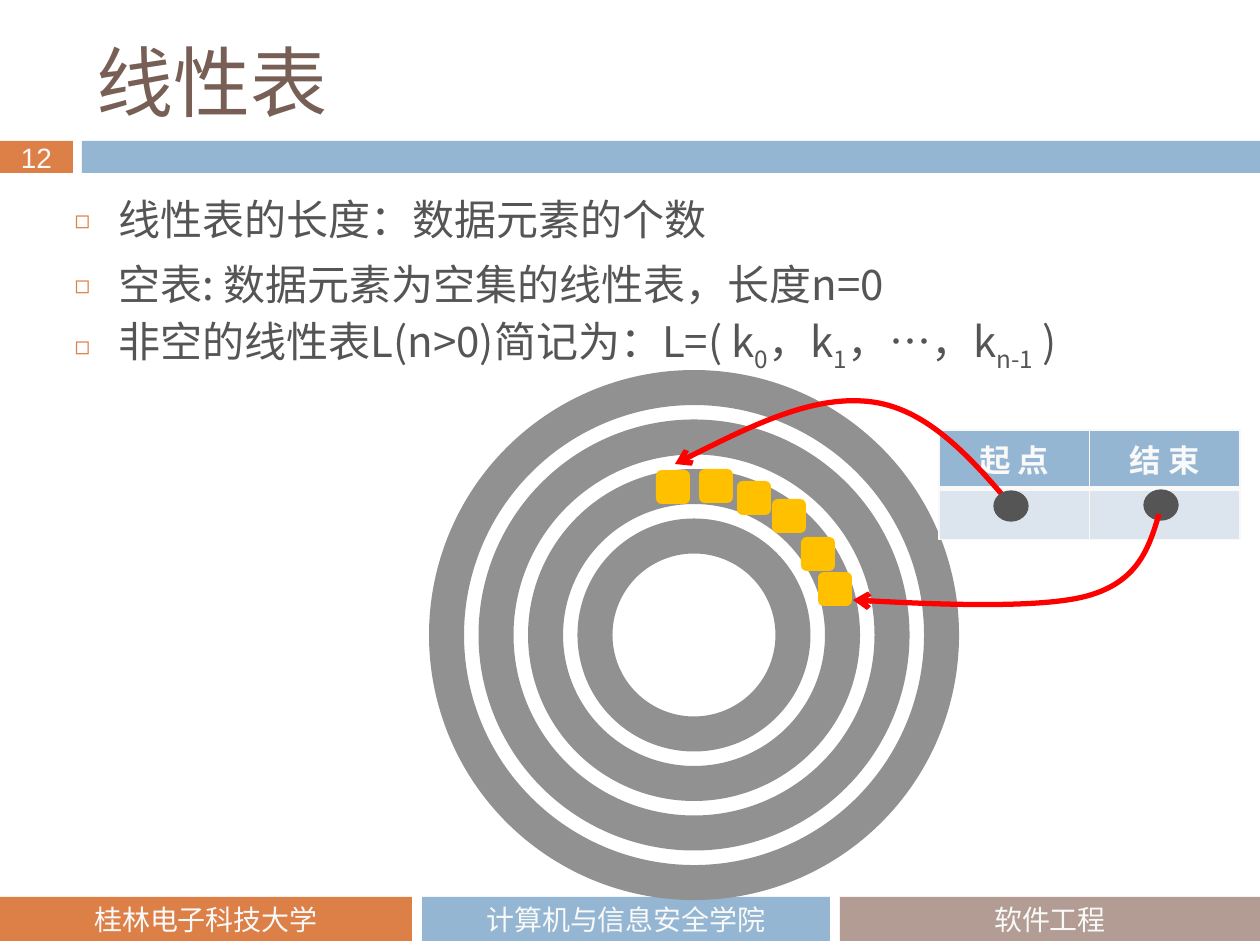
from dataclasses import dataclass

from lxml import etree
from pptx import Presentation
from pptx.dml.color import RGBColor
from pptx.enum.shapes import MSO_SHAPE
from pptx.enum.text import MSO_ANCHOR, MSO_AUTO_SIZE, PP_ALIGN
from pptx.oxml.ns import qn
from pptx.util import Pt

RECT, ROUND, OVAL = MSO_SHAPE.RECTANGLE, MSO_SHAPE.ROUNDED_RECTANGLE, MSO_SHAPE.OVAL
LEFT, MID = PP_ALIGN.LEFT, PP_ALIGN.CENTER
CENTER, TOP = MSO_ANCHOR.MIDDLE, MSO_ANCHOR.TOP
FIXED = MSO_AUTO_SIZE.NONE
SCALE = 914400 / 126  # EMU in one px


@dataclass(frozen=True)
class Theme:
    orange: str = "DD8047"
    blue: str = "94B6D2"
    taupe: str = "B29C93"
    pale: str = "DCE5EE"
    light: str = "F9F9F9"
    brown: str = "775F55"
    dark: str = "555555"
    ring: str = "919191"
    gold: str = "FFC000"
    red: str = "FF0000"
    sans: str = "Noto Sans CJK SC"
    head: str = "Noto Sans CJK JP"
    foot: str = "Cabin"
    digit: str = "Arial"
    title: int = 44
    body: int = 24
    cell: int = 18
    small: int = 16


THEME = Theme()

# Even parts are plain text, odd parts are subscripts
LINES = (
    ("线性表的长度：数据元素的个数",),
    ("空表: 数据元素为空集的线性表，长度n=0",),
    ("非空的线性表L(n>0)简记为：L=( k", "0", "，k", "1", "，…，k", "n-1", " )"),
)
BLOCKS = ((656, 470), (699, 469), (737, 481), (772, 499), (801, 537), (818, 572))
DOTS = ((994, 491), (1144, 490))
# Start point, then two control points and an end point for each curve
START = ((1017, 512), (974, 461), (930, 410), (873, 402),
         (816, 394), (746, 428), (675, 464))
END = ((1159, 514), (1149, 548), (1138, 582), (1087, 596),
       (1036, 610), (870, 601), (853, 600))


def px(num):
    return round(num * SCALE)


def rgb(code):
    return RGBColor.from_string(code)


def child(node, tag, **attrs):
    return etree.SubElement(node, qn(tag), attrs)


def style(run, size, color, face, bold=False):
    font = run.font
    font.size, font.bold, font.name = Pt(size), bold, face
    font.color.rgb = rgb(color)
    child(font._element, "a:ea", typeface=face)


def place(shape, x, y, w, h):
    shape.left, shape.top, shape.width, shape.height = map(px, (x, y, w, h))


def add_form(slide, kind, box, fill=None, line=None, width=1):
    shape = slide.shapes.add_shape(kind, *map(px, box))
    shape.shadow.inherit = False
    if fill:
        shape.fill.solid()
        shape.fill.fore_color.rgb = rgb(fill)
    else:
        shape.fill.background()
    if line:
        shape.line.color.rgb = rgb(line)
        shape.line.width = Pt(width)
    else:
        shape.line.fill.background()
    return shape


def add_bar(slide, box, fill, text="", face=THEME.foot):
    frame = add_form(slide, RECT, box, fill).text_frame
    if text:
        frame.margin_top = frame.margin_bottom = 0
        frame.vertical_anchor = CENTER
        frame.text = text
        para = frame.paragraphs[0]
        para.alignment = MID
        style(para.runs[0], THEME.small, THEME.light, face)


def set_title(slide, text):
    title = slide.shapes.title
    place(title, 84, 32, 1124, 98)
    frame = title.text_frame
    frame.auto_size, frame.vertical_anchor = FIXED, CENTER
    frame.text = text
    para = frame.paragraphs[0]
    para.alignment = LEFT
    style(para.runs[0], THEME.title, THEME.brown, THEME.head)


def add_bullet(para):
    props = para._p.get_or_add_pPr()
    props.set("marL", str(px(44)))
    props.set("indent", str(px(-44)))
    child(child(props, "a:buClr"), "a:srgbClr", val=THEME.orange)
    child(props, "a:buSzPct", val="60000")
    child(props, "a:buFont", typeface=THEME.sans)
    child(props, "a:buChar", char="◻")


def set_list(slide, lines):
    body = slide.placeholders[1]
    place(body, 62, 185, 1124, 215)
    frame = body.text_frame
    frame.auto_size, frame.vertical_anchor = FIXED, TOP
    for row, parts in enumerate(lines):
        para = frame.add_paragraph() if row else frame.paragraphs[0]
        add_bullet(para)
        para.line_spacing = Pt(30)
        para.space_before = Pt(7 if row else 0)
        for pos, part in enumerate(parts):
            run = para.add_run()
            run.text = part
            style(run, THEME.body, THEME.dark, THEME.sans)
            if pos % 2:
                run.font._element.set("baseline", "-25000")


def add_edges(cell, **widths):
    props = cell._tc.get_or_add_tcPr()
    for side in "LRTB":
        edge = child(props, "a:ln" + side, w=str(Pt(widths.get(side, 1))))
        child(child(edge, "a:solidFill"), "a:srgbClr", val=THEME.light)


def add_grid(slide, box, heads):
    table = slide.shapes.add_table(2, len(heads), *map(px, box)).table
    for col, text in enumerate(heads):
        top, low = table.cell(0, col), table.cell(1, col)
        add_edges(top, B=3)
        add_edges(low, T=3)
        for cell, fill in ((top, THEME.blue), (low, THEME.pale)):
            cell.fill.solid()
            cell.fill.fore_color.rgb = rgb(fill)
        top.text_frame.text = text
        para = top.text_frame.paragraphs[0]
        para.alignment = MID
        style(para.runs[0], THEME.cell, THEME.light, THEME.sans, True)


def add_curve(slide, points):
    first, *rest = [(px(x), px(y)) for x, y in points]
    pen = slide.shapes.build_freeform(*first)
    pen.add_line_segments(rest, close=False)
    shape = pen.convert_to_shape()
    # Turn each three line steps into one cubic curve
    steps = list(shape._element.iter(qn("a:lnTo")))
    route = steps[0].getparent()
    for pos in range(0, len(steps), 3):
        curve = child(route, "a:cubicBezTo")
        for step in steps[pos:pos + 3]:
            curve.append(step[0])
            route.remove(step)
    shape.shadow.inherit = False
    shape.fill.background()
    shape.line.color.rgb = rgb(THEME.red)
    shape.line.width = Pt(3)
    child(shape.line._get_or_add_ln(), "a:tailEnd", type="arrow")


def main():
    deck = Presentation()
    deck.slide_width, deck.slide_height = px(1260), px(945)
    slide = deck.slides.add_slide(deck.slide_layouts[1])

    # Bars with page number and footer
    add_bar(slide, (0, 141, 73, 32), THEME.orange, "12", THEME.digit)
    add_bar(slide, (82, 141, 1178, 32), THEME.blue)
    add_bar(slide, (0, 897, 412, 44), THEME.orange, "桂林电子科技大学")
    add_bar(slide, (422, 897, 408, 44), THEME.blue, "计算机与信息安全学院")
    add_bar(slide, (840, 897, 420, 44), THEME.taupe, "软件工程")

    # Title and list
    set_title(slide, "线性表")
    set_list(slide, LINES)

    # Disk tracks and data blocks
    for size in range(198, 496, 99):
        box = (694 - size / 2, 635 - size / 2, size, size)
        add_form(slide, OVAL, box, line=THEME.ring, width=20)
    for x, y in BLOCKS:
        add_form(slide, ROUND, (x, y, 34, 34), THEME.gold)

    # Pointer table and arrows
    add_grid(slide, (939, 430, 301, 102), ("起 点", "结 束"))
    add_curve(slide, START)
    for x, y in DOTS:
        add_form(slide, OVAL, (x, y, 34, 30), THEME.dark, THEME.dark, 0.75)
    add_curve(slide, END)

    deck.save("out.pptx")


if __name__ == "__main__":
    main()
